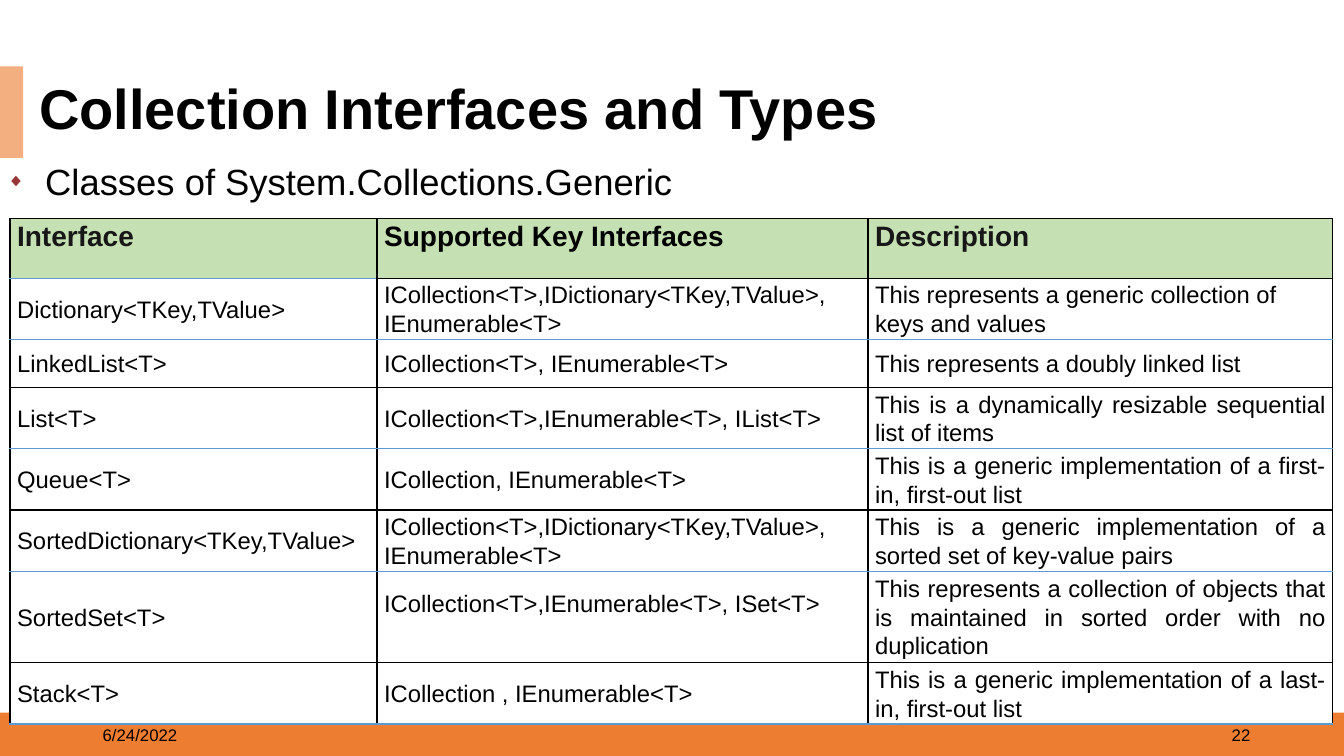
from dataclasses import dataclass

from lxml import etree
from pptx import Presentation
from pptx.dml.color import RGBColor
from pptx.enum.shapes import MSO_SHAPE
from pptx.enum.text import MSO_ANCHOR, PP_ALIGN
from pptx.oxml.ns import qn
from pptx.util import Inches, Pt

RECTANGLE = MSO_SHAPE.RECTANGLE
TOP, MIDDLE = MSO_ANCHOR.TOP, MSO_ANCHOR.MIDDLE
LEFT, RIGHT, JUSTIFY = PP_ALIGN.LEFT, PP_ALIGN.RIGHT, PP_ALIGN.JUSTIFY

FONT = "Arial"
BLACK, WHITE, CHARCOAL = "000000", "FFFFFF", "171717"
ORANGE, PEACH, GREEN, BLUE = "ED7D31", "F4AF80", "C5E0B3", "5B9BD5"
BULLET_RED = "973735"


@dataclass
class Box:
    left: float
    top: float
    width: float
    height: float


@dataclass
class Label:
    box: Box
    text: str
    size: int
    bold: bool = False
    alignment: PP_ALIGN = LEFT
    line_spacing: float = 1.0
    fill: str = ""
    bullet: bool = False


@dataclass
class Row:
    height: float
    interface: str
    supported: str
    description: str
    supported_bottom_margin: float = 0


BANDS = [
    (Box(0, 7.07, 13.33, 0.44), ORANGE),
    (Box(0, 0.66, 0.23, 1.06), PEACH),
]
LABELS = [
    Label(Box(0.92, 7.09, 3, 0.4), "6/24/2022", 12),
    Label(Box(9.5, 7.09, 3, 0.4), "22", 12, alignment=RIGHT),
    Label(Box(-0.03, 1.57, 8.94, 0.46), "Classes of System.Collections.Generic", 26,
          alignment=JUSTIFY, fill=WHITE, bullet=True),
    Label(Box(0.29, 0.85, 12.2, 0.55), "Collection Interfaces and Types", 40,
          bold=True, line_spacing=0.8, fill=WHITE),
]
COLUMN_WIDTHS = [3.64, 4.87, 4.61]
HEADER_COLORS = [CHARCOAL, BLACK, CHARCOAL]
ROWS = [
    Row(0.59, "Interface", "Supported Key Interfaces", "Description"),
    Row(0.57, "Dictionary<TKey,TValue>", "ICollection<T>,IDictionary<TKey,TValue>, IEnumerable<T>",
        "This represents a generic collection of\nkeys and values"),
    Row(0.48, "LinkedList<T>", "ICollection<T>, IEnumerable<T>",
        "This represents a doubly linked list"),
    Row(0.57, "List<T>", "ICollection<T>,IEnumerable<T>, IList<T>",
        "This is a dynamically resizable sequential list of items"),
    Row(0.57, "Queue<T>", "ICollection, IEnumerable<T>",
        "This is a generic implementation of a first-in, first-out list"),
    Row(0.57, "SortedDictionary<TKey,TValue>",
        "ICollection<T>,IDictionary<TKey,TValue>, IEnumerable<T>",
        "This is a generic implementation of a sorted set of key-value pairs"),
    Row(0.85, "SortedSet<T>", "ICollection<T>,IEnumerable<T>, ISet<T>",
        "This represents a collection of objects that is maintained in sorted order "
        "with no duplication", supported_bottom_margin=0.28),
    Row(0.57, "Stack<T>", "ICollection , IEnumerable<T>",
        "This is a generic implementation of a last-in, first-out list"),
]


def rgb(color: str) -> RGBColor:
    return RGBColor.from_string(color)


def fill_solid(target, color: str) -> None:
    target.fill.solid()
    target.fill.fore_color.rgb = rgb(color)


def add_run(paragraph, text: str, size: int, color: str, bold: bool) -> None:
    run = paragraph.add_run()
    run.text = text
    run.font.name = FONT
    run.font.size = Pt(size)
    run.font.bold = bold
    run.font.color.rgb = rgb(color)


def add_band(slide, box: Box, color: str) -> None:
    shape = slide.shapes.add_shape(RECTANGLE, Inches(box.left), Inches(box.top),
                                   Inches(box.width), Inches(box.height))
    shape.shadow.inherit = False
    fill_solid(shape, color)
    shape.line.fill.background()


def add_bullet(paragraph) -> None:
    properties = paragraph._p.get_or_add_pPr()
    indent = Inches(0.38)
    properties.set("marL", str(indent))
    properties.set("indent", str(-indent))
    color = etree.SubElement(properties, qn("a:buClr"))
    etree.SubElement(color, qn("a:srgbClr"), val=BULLET_RED)
    etree.SubElement(properties, qn("a:buSzPct"), val="50000")
    etree.SubElement(properties, qn("a:buFont"), typeface=FONT)
    etree.SubElement(properties, qn("a:buChar"), char="◆")


def add_label(slide, label: Label) -> None:
    box = label.box
    shape = slide.shapes.add_textbox(Inches(box.left), Inches(box.top),
                                     Inches(box.width), Inches(box.height))
    if label.fill:
        fill_solid(shape, label.fill)
    frame = shape.text_frame
    frame.word_wrap = True
    frame.vertical_anchor = MIDDLE
    paragraph = frame.paragraphs[0]
    paragraph.alignment = label.alignment
    paragraph.line_spacing = label.line_spacing
    if label.bullet:
        add_bullet(paragraph)
    add_run(paragraph, label.text, label.size, BLACK, label.bold)


def set_borders(cell, top: str, bottom: str) -> None:
    properties = cell._tc.get_or_add_tcPr()
    sides = [("a:lnL", BLACK), ("a:lnR", BLACK), ("a:lnT", top), ("a:lnB", bottom)]
    for position, (tag, color) in enumerate(sides):
        line = etree.Element(qn(tag), w=str(Pt(1)))
        fill = etree.SubElement(line, qn("a:solidFill"))
        etree.SubElement(fill, qn("a:srgbClr"), val=color)
        properties.insert(position, line)


def fill_cell(cell, text: str, row: int, column: int) -> None:
    header = row == 0
    cell.margin_left = cell.margin_right = Inches(0.07)
    cell.margin_top = cell.margin_bottom = 0
    cell.vertical_anchor = TOP if header else MIDDLE
    fill_solid(cell, GREEN if header else WHITE)
    for index, line in enumerate(text.split("\n")):
        frame = cell.text_frame
        paragraph = frame.add_paragraph() if index else frame.paragraphs[0]
        paragraph.alignment = LEFT if header or column == 0 else JUSTIFY
        paragraph.line_spacing = 1.07
        add_run(paragraph, line, 20 if header else 17,
                HEADER_COLORS[column] if header else BLACK, header)
    blue_below = row % 2 == 1 or (header and column == 0)
    blue_above = (row % 2 == 0 and not header) or (row == 1 and column == 0)
    set_borders(cell, BLUE if blue_above else BLACK, BLUE if blue_below else BLACK)


def add_collection_table(slide) -> None:
    frame = slide.shapes.add_table(
        len(ROWS), len(COLUMN_WIDTHS), Inches(0.1), Inches(2.17),
        Inches(sum(COLUMN_WIDTHS)), Inches(sum(row.height for row in ROWS)))
    table = frame.table
    table.horz_banding = False
    for column, width in zip(table.columns, COLUMN_WIDTHS):
        column.width = Inches(width)
    for row_index, row in enumerate(ROWS):
        table.rows[row_index].height = Inches(row.height)
        for column_index, text in enumerate((row.interface, row.supported, row.description)):
            fill_cell(table.cell(row_index, column_index), text, row_index, column_index)
        table.cell(row_index, 1).margin_bottom = Inches(row.supported_bottom_margin)


def main() -> None:
    presentation = Presentation()
    presentation.slide_width = Inches(13.33)
    presentation.slide_height = Inches(7.5)
    slide = presentation.slides.add_slide(presentation.slide_layouts[6])
    for box, color in BANDS:
        add_band(slide, box, color)
    for label in LABELS:
        add_label(slide, label)
    add_collection_table(slide)
    presentation.save("out.pptx")


if __name__ == "__main__":
    main()
